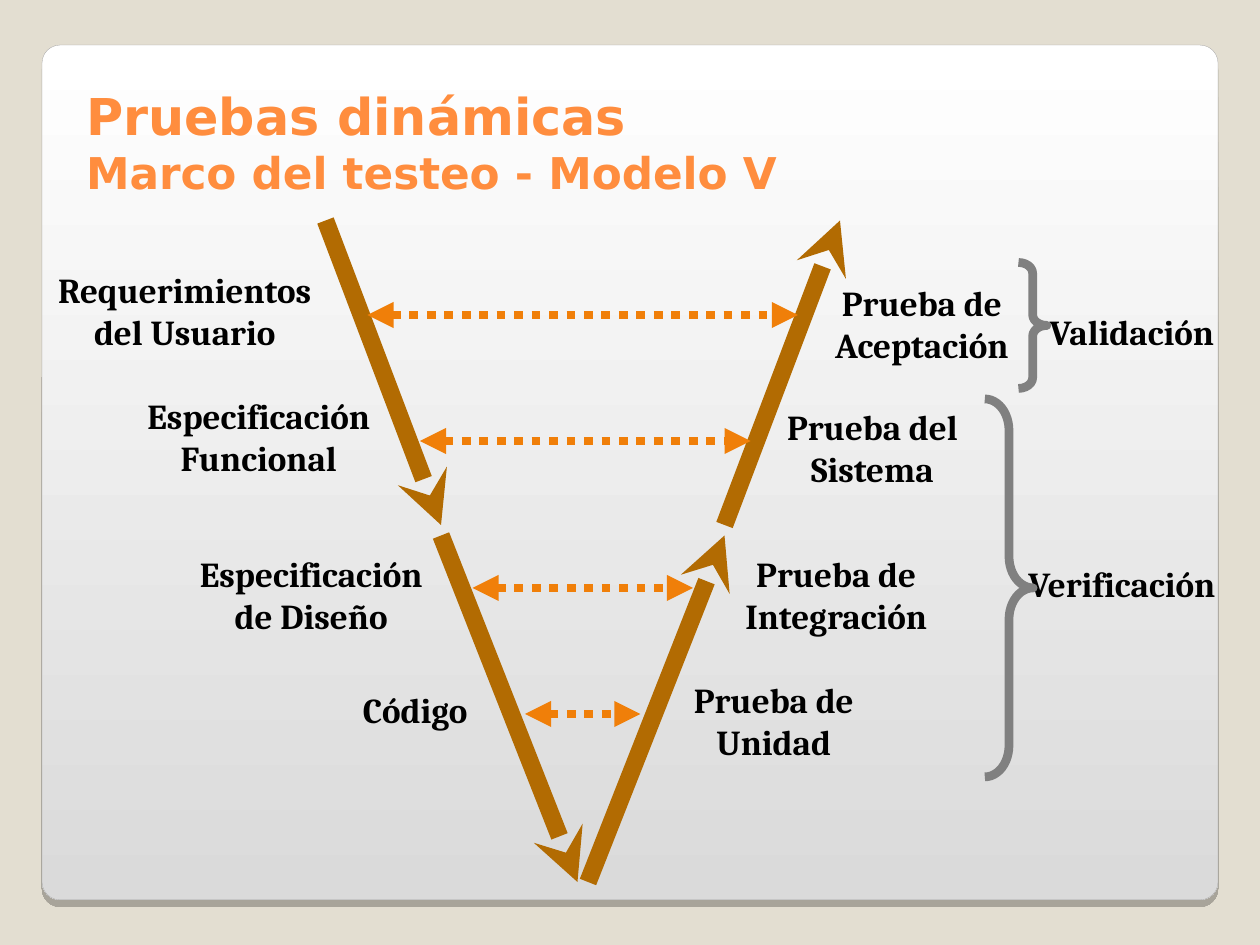
"""Build the V-model slide: two arms of a V, paired test levels and braces."""
import copy

import pptx
import pptx.dml.color
import pptx.enum.dml
import pptx.enum.shapes
import pptx.enum.text
import pptx.oxml.ns
import pptx.oxml.xmlchemy
import pptx.util

THEME = {
    "back": "E3DED1", "panel": ("FFFFFF", "DADADA"), "edge": "A4A3A3",
    "title": "FF8D3E", "text": "000000", "arm": "B26B02",
    "link": "F07F09", "brace": "808080",
    "title_font": "DejaVu Sans", "title_sizes": (29, 25),
    "font": "Cambria", "size": 20,
}
COLS, ROWS = 120, 90
TITLE = ("Pruebas dinámicas", "Marco del testeo - Modelo V")
PANEL = (4, 4.3, 112, 81.4)
TITLE_BOX = (7, 7, 113, 13)
LINE_HEIGHTS = {1: 5.3, 2: 9.3}

WRAPPED_LABEL = ("Requerimientos del Usuario", 4, 25, 27.2)
LABELS = [
    ("Especificación\nFuncional", 11.4, 37, 26.5),
    ("Especificación\nde Diseño", 16.4, 52, 26.5),
    ("Código", 32.6, 65, 13.9),
    ("Prueba de\nAceptación", 77.2, 26.2, 21.2),
    ("Prueba del\nSistema", 72.8, 38, 20.6),
    ("Prueba de\nIntegración", 68.6, 52, 22.1),
    ("Prueba de\nUnidad", 64, 64, 19.4),
    ("Verificación", 95.4, 53, 22.9),
    ("Validación", 97.6, 29, 20.4),
]
ARMS = [(31, 21, 42, 50), (42, 51, 55, 84), (56, 84, 69, 51), (69, 50, 80, 21)]
LINKS = [(35, 76, 30), (40, 71.5, 42), (45, 66, 56), (50, 61, 68)]
BRACES = [((93.8, 38, 4.6, 36), 0.65), ((97, 25, 2.7, 12), 0.38)]

prs = pptx.Presentation()
prs.slide_width, prs.slide_height = pptx.util.Inches(10), pptx.util.Inches(7.5)
slide = prs.slides.add_slide(prs.slide_layouts[5])


def grid(x, y, *rest):
    """Turn column and row pairs into slide lengths."""
    units = (prs.slide_width / COLS, prs.slide_height / ROWS)
    return [round(v * units[i % 2]) for i, v in enumerate((x, y, *rest))]


def rgb(name):
    return pptx.dml.color.RGBColor.from_string(name)


def add_xml(parent, tag, **attrs):
    el = pptx.oxml.xmlchemy.OxmlElement(tag)
    for key, value in attrs.items():
        el.set(key, str(value))
    parent.append(el)
    return el


def style_line(line, color, width):
    line.color.rgb = rgb(color)
    line.width = pptx.util.Pt(width)


def style_run(r, font, size, color):
    r.font.name, r.font.size, r.font.bold = font, pptx.util.Pt(size), True
    r.font.color.rgb = rgb(color)


def add_panel():
    sp = slide.shapes.add_shape(
        pptx.enum.shapes.MSO_SHAPE.ROUNDED_RECTANGLE, *grid(*PANEL))
    sp.adjustments[0] = 0.021
    sp.fill.gradient()
    sp.fill.gradient_angle = 270
    for stop, color, pos in zip(sp.fill.gradient_stops, THEME["panel"], (0, 1)):
        stop.color.rgb, stop.position = rgb(color), pos
    style_line(sp.line, THEME["edge"], 0.17)
    sp.shadow.inherit = False
    effects = sp._element.spPr.find(pptx.oxml.ns.qn("a:effectLst"))
    shadow = add_xml(effects, "a:outerShdw", blurRad=0, dist=pptx.util.Pt(4),
                     dir=90 * 60000, algn="t", rotWithShape=0)
    add_xml(add_xml(shadow, "a:srgbClr", val="000000"), "a:alpha", val=25000)
    slide.shapes._spTree.insert(2, sp._element)


def add_title():
    sp = slide.shapes.title
    sp.left, sp.top, sp.width, sp.height = grid(*TITLE_BOX)
    tf = sp.text_frame
    tf.auto_size = pptx.enum.text.MSO_AUTO_SIZE.NONE
    tf.vertical_anchor = pptx.enum.text.MSO_ANCHOR.MIDDLE
    p = tf.paragraphs[0]
    p.text = "\v".join(TITLE)
    p.alignment = pptx.enum.text.PP_ALIGN.LEFT
    for r, size in zip(p.runs, THEME["title_sizes"]):
        style_run(r, THEME["title_font"], size, THEME["title"])
    br = p._p.find(pptx.oxml.ns.qn("a:br"))
    br.insert(0, copy.deepcopy(p.runs[0]._r.rPr))


def add_label(text, x, y, width, wrap=False):
    lines = 2 if wrap else text.count("\n") + 1
    sp = slide.shapes.add_textbox(*grid(x, y, width, LINE_HEIGHTS[lines]))
    tf = sp.text_frame
    tf.text = text
    tf.word_wrap = wrap
    tf.auto_size = pptx.enum.text.MSO_AUTO_SIZE.SHAPE_TO_FIT_TEXT
    for p in tf.paragraphs:
        p.alignment = pptx.enum.text.PP_ALIGN.CENTER
        style_run(p.runs[0], THEME["font"], THEME["size"], THEME["text"])


def add_arrow(ends, color, width, head=None, tail=None, dash=None):
    cx = slide.shapes.add_connector(
        pptx.enum.shapes.MSO_CONNECTOR.STRAIGHT, *grid(*ends))
    style_line(cx.line, color, width)
    if dash:
        cx.line.dash_style = dash
    ln = cx._element.spPr.find(pptx.oxml.ns.qn("a:ln"))
    for tag, kind in (("a:headEnd", head), ("a:tailEnd", tail)):
        if kind:
            add_xml(ln, tag, type=kind)
    add_xml(cx._element.spPr, "a:effectLst")


def add_brace(box, curve):
    sp = slide.shapes.add_shape(
        pptx.enum.shapes.MSO_SHAPE.RIGHT_BRACE, *grid(*box))
    sp.adjustments[0] = curve
    sp.fill.background()
    style_line(sp.line, THEME["brace"], 5)
    sp.shadow.inherit = False


def main():
    slide.background.fill.solid()
    slide.background.fill.fore_color.rgb = rgb(THEME["back"])
    add_panel()
    add_title()
    add_label(*WRAPPED_LABEL, wrap=True)
    for label in LABELS:
        add_label(*label)
    for ends in ARMS:
        add_arrow(ends, THEME["arm"], 10, tail="stealth")
    for left, right, y in LINKS:
        add_arrow((left, y, right, y), THEME["link"], 5, "triangle", "triangle",
                  pptx.enum.dml.MSO_LINE.ROUND_DOT)
    for box, curve in BRACES:
        add_brace(box, curve)
    prs.save("out.pptx")


if __name__ == "__main__":
    main()
